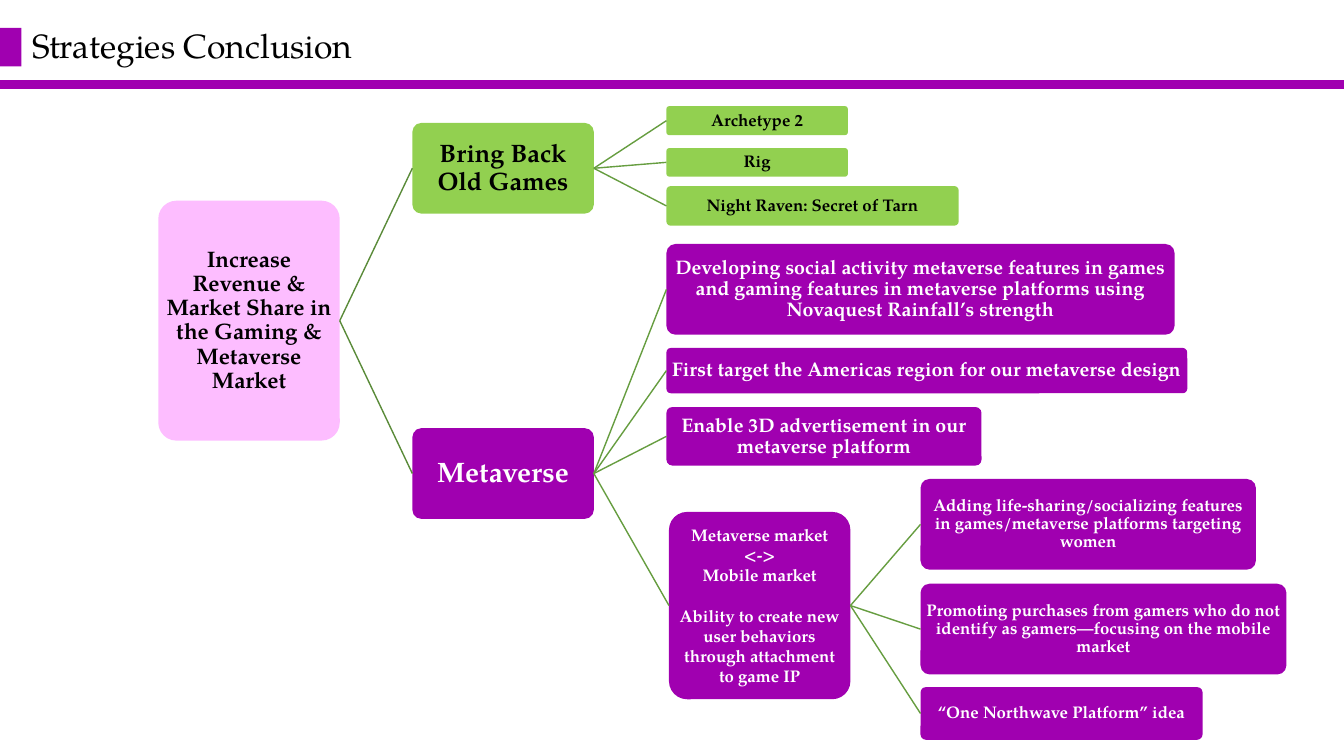
"""Build the strategies conclusion slide: a tree of growth ideas read from left to right."""
from lxml import etree
from pptx import Presentation
from pptx import util as u
from pptx.dml.color import RGBColor
from pptx.enum import shapes, text
from pptx.oxml.ns import qn

HUES = {"pink": "FDBDFF", "green": "92D050", "plum": "A000B0", "black": "000000",
        "white": "FFFFFF", "stem": "5A8B39", "twig": "669D40"}
FONT = "TeX Gyre Pagella"
LEFT, COL, ROW = u.Inches(1.57), u.Inches(2.52), u.Inches(0.45)
SLIM = 5 / 7


def write(par, words, size, hue, bold=True):
    run = par.add_run()
    run.text = words
    run.font.name, run.font.size, run.font.bold = FONT, u.Pt(size), bold
    run.font.color.rgb = RGBColor.from_string(HUES[hue])


def link(start, end, hue, width):
    line = slide.shapes.add_connector(shapes.MSO_CONNECTOR.STRAIGHT, *start, *end)
    line.line.color.rgb = RGBColor.from_string(HUES[hue])
    line.line.width = u.Pt(width)
    etree.SubElement(line._element.spPr, qn("a:effectLst"))
    return line


deck = Presentation()
deck.slide_width, deck.slide_height = u.Inches(13.33), u.Inches(7.5)
wide, high = deck.slide_width, deck.slide_height
slide = deck.slides.add_slide(deck.slide_layouts[6])

title = slide.shapes.add_textbox(int(wide * 0.0165), int(high * 0.027), int(wide * 0.61), int(high * 0.08))
title.text_frame.word_wrap = True
write(title.text_frame.paragraphs[0], "Strategies Conclusion", 24, "black", False)
rule = int(high * 0.112)
link((0, rule), (wide, rule), "plum", 6)
tab = slide.shapes.add_shape(shapes.MSO_SHAPE.RECTANGLE, 0, int(high * 0.037), int(wide * 0.016), int(high * 0.051))
tab.shadow.inherit = False
tab.fill.solid()
tab.fill.fore_color.rgb = RGBColor.from_string(HUES["plum"])
tab.line.fill.background()

# name, parent, column, middle row, columns wide, rows high, fill, size, paragraphs
nodes = [
    ("goal", None, 0, 7.07, SLIM, 5.29, "pink", 16,
     ["Increase Revenue & Market Share in the Gaming & Metaverse Market"]),
    ("old", "goal", 1, 3.71, SLIM, 2, "green", 18, ["Bring Back Old Games"]),
    ("first", "old", 2, 2.66, SLIM, 0.64, "green", 12, ["Archetype 2"]),
    ("second", "old", 2, 3.58, SLIM, 0.63, "green", 12, ["Rig"]),
    ("third", "old", 2, 4.54, 1.15, 0.87, "green", 12, ["Night Raven: Secret of Tarn"]),
    ("meta", "goal", 1, 10.44, SLIM, 2, "plum", 20, ["Metaverse"]),
    ("social", "meta", 2, 6.38, 2, 2, "plum", 14,
     ["Developing social activity metaverse features in games and gaming features "
      "in metaverse platforms using Novaquest Rainfall’s strength"]),
    ("region", "meta", 2, 8.17, 2.05, 1, "plum", 14,
     ["First target the Americas region for our metaverse design"]),
    ("adverts", "meta", 2, 9.62, 1.24, 1.29, "plum", 14,
     ["Enable 3D advertisement in our metaverse platform"]),
    ("mobile", "meta", 2.01, 13.35, SLIM, 4.13, "plum", 12,
     ["Metaverse market", "<->", "Mobile market",
      "Ability to create new user behaviors through attachment to game IP"]),
    ("women", "mobile", 3, 11.56, 1.32, 2, "plum", 12,
     ["Adding life-sharing/socializing features in games/metaverse platforms targeting women"]),
    ("casual", "mobile", 3, 13.87, 1.44, 2, "plum", 12,
     ["Promoting purchases from gamers who do not identify as gamers—focusing on the mobile market"]),
    ("unity", "mobile", 3, 15.73, 1.11, 1.16, "plum", 12, ["“One Northwave Platform” idea"]),
]

boxes = {}
for name, parent, col, mid, cols, rows, fill, size, pars in nodes:
    box = slide.shapes.add_shape(shapes.MSO_SHAPE.ROUNDED_RECTANGLE, int(LEFT + col * COL),
                                 int((mid - rows / 2) * ROW), int(cols * COL), int(rows * ROW))
    boxes[name] = box
    box.adjustments[0] = 0.1
    box.shadow.inherit = False
    box.fill.solid()
    box.fill.fore_color.rgb = RGBColor.from_string(HUES[fill])
    box.line.fill.background()
    frame = box.text_frame
    frame.word_wrap = True
    frame.vertical_anchor = text.MSO_ANCHOR.MIDDLE
    inset = u.Inches(0.01)
    frame.margin_left = frame.margin_right = frame.margin_top = frame.margin_bottom = inset
    for i, words in enumerate(pars):
        par = frame.add_paragraph() if i else frame.paragraphs[0]
        par.alignment = text.PP_ALIGN.CENTER
        par.line_spacing = 0.9 if len(pars) == 1 else 1.0
        if i == 3:
            par.space_before = u.Pt(14.5)
        write(par, words, size, "white" if fill == "plum" else "black")
    if parent:
        twig = link((0, 0), (0, 0), "stem" if parent == "goal" else "twig", 1)
        twig.begin_connect(boxes[parent], 3)
        twig.end_connect(box, 1)

deck.save("out.pptx")
